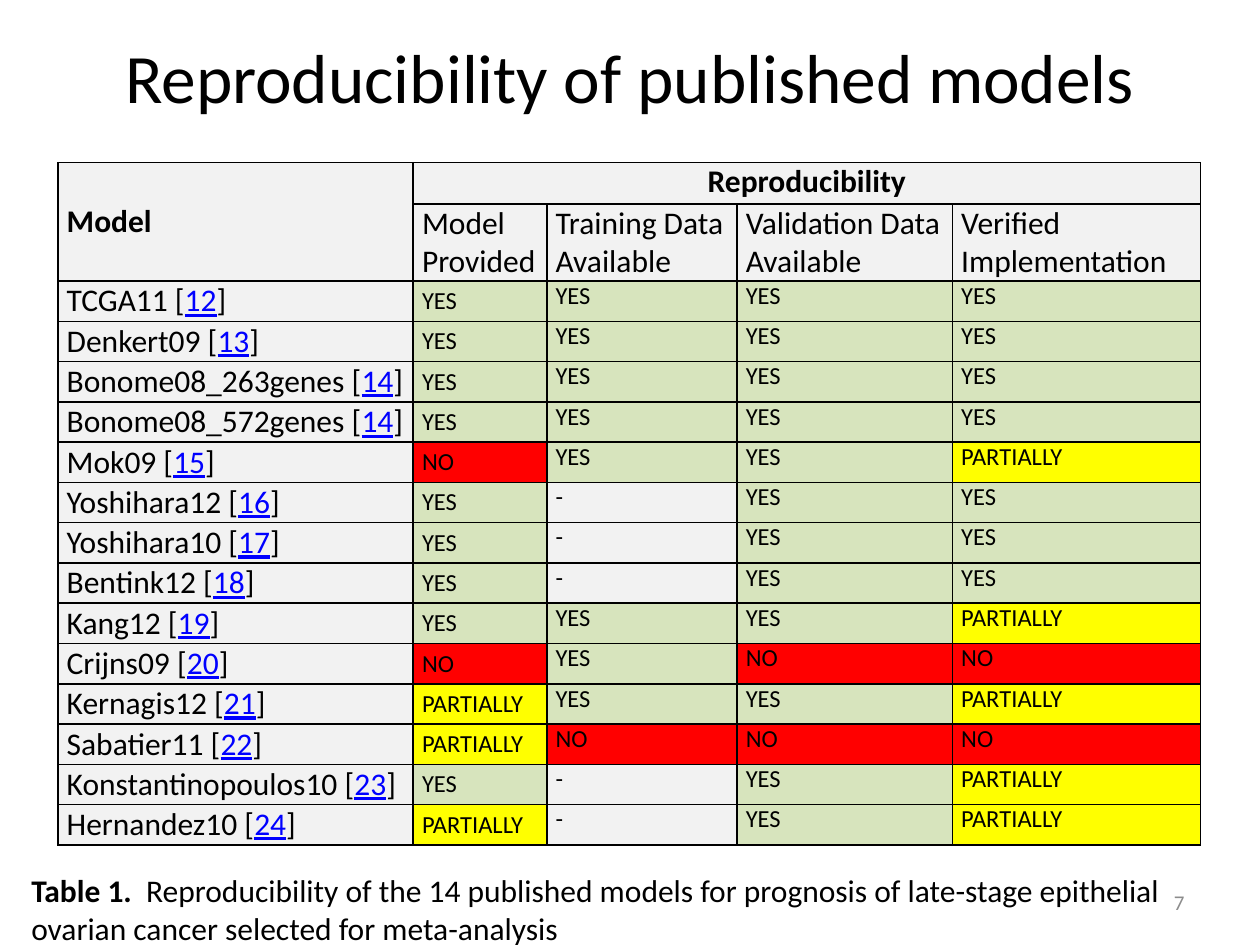
from lxml import etree
from pptx import Presentation, util as u
from pptx.dml.color import RGBColor
from pptx.enum import text as t
from pptx.oxml.ns import qn

BLACK = RGBColor(0x00, 0x00, 0x00)
BLUE = RGBColor(0x00, 0x00, 0xFF)
DIM = RGBColor(0x8C, 0x8C, 0x8C)
PALE = RGBColor(0xF2, 0xF2, 0xF2)
GREEN = RGBColor(0xD7, 0xE4, 0xBD)
RED = RGBColor(0xFF, 0x00, 0x00)
YELLOW = RGBColor(0xFF, 0xFF, 0x00)

FONT = "Calibri"
WIDE, HIGH = 10, 7.5
TOP, MID = t.MSO_ANCHOR.TOP, t.MSO_ANCHOR.MIDDLE
LEFT, CENTER, RIGHT = t.PP_ALIGN.LEFT, t.PP_ALIGN.CENTER, t.PP_ALIGN.RIGHT

# Table grid, in inches
COLS = [2.82, 1.06, 1.51, 1.71, 1.97]
ROWS = [0.33, 0.61] + [0.32] * 14

HEADS = [["Model", "Provided"], ["Training Data", "Available"],
         ["Validation Data", "Available"], ["Verified", "Implementation"]]
MARKS = {"Y": ("YES", GREEN), "N": ("NO", RED),
         "P": ("PARTIALLY", YELLOW), "-": ("-", PALE)}

# Model, reference, one mark per column
MODELS = [
    ("TCGA11", 12, "YYYY"),
    ("Denkert09", 13, "YYYY"),
    ("Bonome08_263genes", 14, "YYYY"),
    ("Bonome08_572genes", 14, "YYYY"),
    ("Mok09", 15, "NYYP"),
    ("Yoshihara12", 16, "Y-YY"),
    ("Yoshihara10", 17, "Y-YY"),
    ("Bentink12", 18, "Y-YY"),
    ("Kang12", 19, "YYYP"),
    ("Crijns09", 20, "NYNN"),
    ("Kernagis12", 21, "PYYP"),
    ("Sabatier11", 22, "PNNN"),
    ("Konstantinopoulos10", 23, "Y-YP"),
    ("Hernandez10", 24, "P-YP"),
]


def add_run(para, words, size=18, color=BLACK, bold=False, line=False):
    run = para.add_run()
    run.text = words
    font = run.font
    font.name, font.size, font.bold = FONT, u.Pt(size), bold
    font.underline = line
    font.color.rgb = color


def add_box(slide, x, y, w, h, align=LEFT, anchor=TOP):
    """Place a text box by shares of the slide; return its paragraph."""
    box = slide.shapes.add_textbox(u.Inches(x * WIDE), u.Inches(y * HIGH),
                                   u.Inches(w * WIDE), u.Inches(h * HIGH))
    frame = box.text_frame
    frame.word_wrap = True
    frame.vertical_anchor = anchor
    para = frame.paragraphs[0]
    para.alignment = align
    return para


def add_edges(cell):
    props = cell._tc.get_or_add_tcPr()
    for spot, side in enumerate(("lnL", "lnR", "lnT", "lnB")):
        edge = etree.Element(qn(f"a:{side}"), w=str(u.Pt(1)))
        fill = etree.SubElement(edge, qn("a:solidFill"))
        etree.SubElement(fill, qn("a:srgbClr"), val=str(BLACK))
        props.insert(spot, edge)


def style_cell(cell, fill=PALE, anchor=TOP):
    cell.fill.solid()
    cell.fill.fore_color.rgb = fill
    cell.margin_left = cell.margin_right = u.Inches(0.07)
    cell.margin_top = cell.margin_bottom = 0
    cell.vertical_anchor = anchor
    return cell.text_frame.paragraphs[0]


def fill_heads(grid):
    add_run(style_cell(grid.cell(0, 0), anchor=MID), "Model", bold=True)
    para = style_cell(grid.cell(0, 1))
    para.alignment = CENTER
    add_run(para, "Reproducibility", bold=True)
    for col, lines in enumerate(HEADS, 1):
        cell = grid.cell(1, col)
        para = style_cell(cell, anchor=MID if col == 1 else TOP)
        add_run(para, lines[0])
        add_run(cell.text_frame.add_paragraph(), lines[1])
    grid.cell(0, 0).merge(grid.cell(1, 0))
    grid.cell(0, 1).merge(grid.cell(0, 4))


def fill_model(grid, row, name, ref, marks):
    para = style_cell(grid.cell(row, 0), anchor=MID)
    add_run(para, f"{name} [")
    add_run(para, str(ref), color=BLUE, line=True)
    add_run(para, "]")
    for col, mark in enumerate(marks, 1):
        words, fill = MARKS[mark]
        para = style_cell(grid.cell(row, col), fill, MID if col == 1 else TOP)
        add_run(para, words, 14)


def add_grid(slide):
    frame = slide.shapes.add_table(
        len(ROWS), len(COLS), u.Inches(0.46), u.Inches(1.29),
        u.Inches(sum(COLS)), u.Inches(sum(ROWS)))
    grid = frame.table
    grid.first_row = grid.horz_banding = False
    for col, width in zip(grid.columns, COLS):
        col.width = u.Inches(width)
    for row, height in zip(grid.rows, ROWS):
        row.height = u.Inches(height)
    fill_heads(grid)
    for row, model in enumerate(MODELS, 2):
        fill_model(grid, row, *model)
    for cell in grid.iter_cells():
        add_edges(cell)


def main():
    deck = Presentation()
    deck.slide_width, deck.slide_height = u.Inches(WIDE), u.Inches(HIGH)
    slide = deck.slides.add_slide(deck.slide_layouts[6])

    # Title
    para = add_box(slide, 0.05, 0, 0.9, 0.16, CENTER, MID)
    add_run(para, "Reproducibility of published models", 39.6)

    # Slide number
    para = add_box(slide, 0.72, 0.93, 0.23, 0.05, RIGHT, MID)
    add_run(para, "7", 12, DIM)

    # Table of models
    add_grid(slide)

    # Caption
    para = add_box(slide, 0.015, 0.915, 0.96, 0.09)
    add_run(para, "Table 1.  ", bold=True)
    add_run(para, "Reproducibility of the 14 published models for prognosis of "
                  "late-stage epithelial ovarian cancer selected for "
                  "meta-analysis")

    deck.save("out.pptx")


if __name__ == "__main__":
    main()
